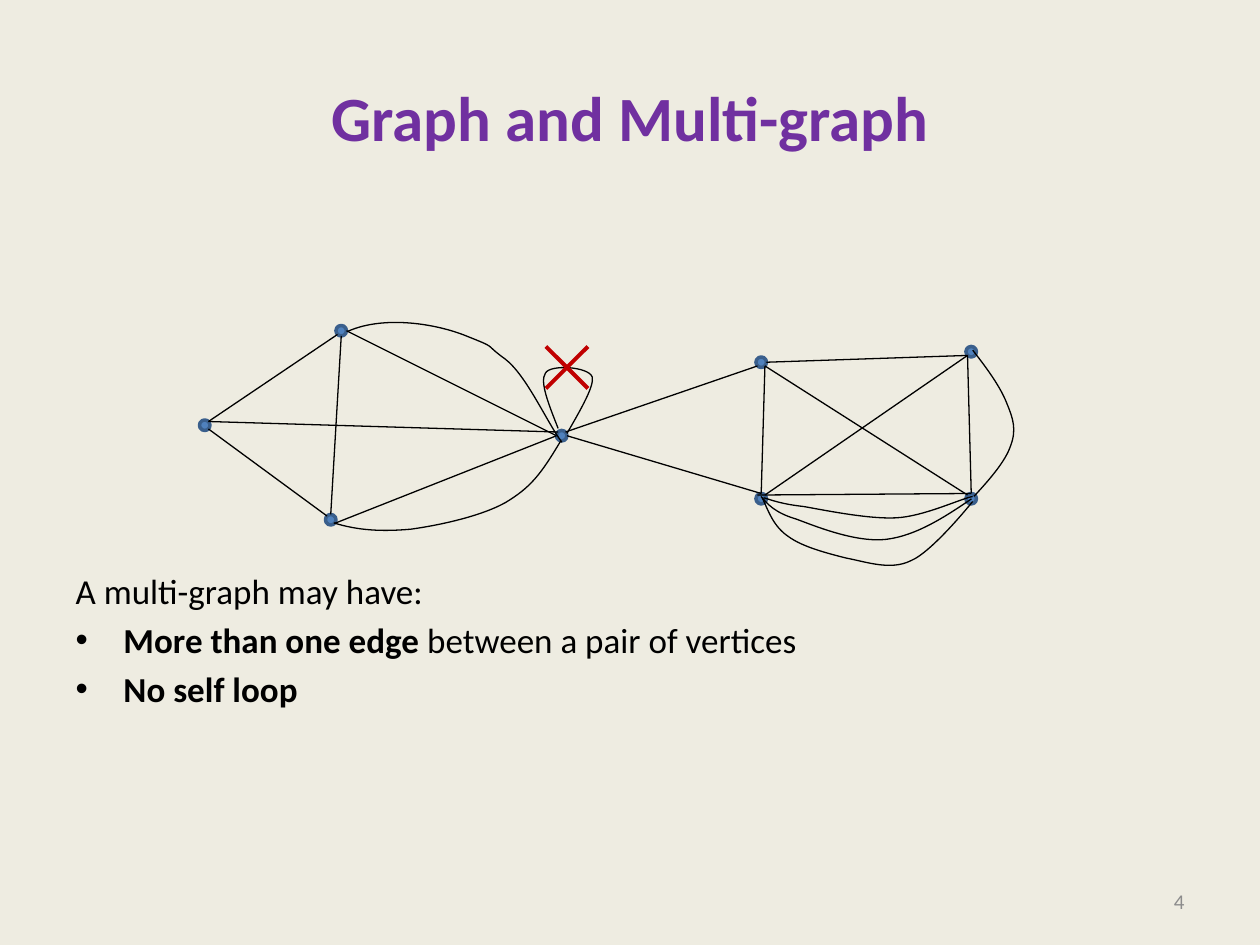
import dataclasses
import math

import lxml.etree
import pptx
import pptx.dml.color
import pptx.enum.shapes
import pptx.enum.text
import pptx.oxml.ns
import pptx.util

qn = pptx.oxml.ns.qn
ALIGN = pptx.enum.text.PP_ALIGN
ANCHOR = pptx.enum.text.MSO_ANCHOR


@dataclasses.dataclass(frozen=True)
class Theme:
    font: str = "Calibri"
    background: str = "EEECE1"
    title: str = "7030A0"
    ink: str = "000000"
    page_number: str = "8C8C8C"
    vertex: str = "4F81BD"
    vertex_rim: str = "3A5F8C"
    cross: str = "C00000"
    title_size: float = 36
    body_size: float = 20
    page_number_size: float = 12
    rim_width: float = 2
    edge_width: float = 0.75
    cross_width: float = 2.25


THEME = Theme()
COLUMNS, ROWS = 120, 90  # twelve cells to the inch

# Each vertex fills the grid cell (column, row).
VERTICES = {
    "west": (19, 40),
    "top": (32, 31),
    "bottom": (31, 49),
    "hub": (53, 41),
    "upper left": (72, 34),
    "lower left": (72, 47),
    "upper right": (92, 33),
    "lower right": (92, 47),
}
BEARINGS = {side: math.radians(45 * turn) for turn, side in
            enumerate(("E", "SE", "S", "SW", "W", "NW", "N", "NE"))}

# Vertex and the side of its rim, at both ends.
STRAIGHT_EDGES = [
    ("west", "NE", "top", "SW"),
    ("west", "SE", "bottom", "NW"),
    ("bottom", "SE", "hub", "W"),
    ("hub", "W", "top", "E"),
    ("top", "S", "bottom", "N"),
    ("west", "NE", "hub", "NW"),
    ("upper left", "E", "upper right", "SW"),
    ("lower left", "NW", "lower right", "N"),
    ("upper left", "SE", "lower left", "N"),
    ("upper right", "SW", "lower right", "N"),
    ("upper left", "SE", "lower right", "NW"),
    ("upper right", "SW", "lower left", "NE"),
    ("upper left", "SW", "hub", "NE"),
    ("lower left", "N", "hub", "E"),
]

# Start point, then two handles and an end point for each Bezier piece, in inches.
BOTTOM_TO_HUB = [(2.65, 4.15), (2.84, 4.21), (3.03, 4.22), (3.26, 4.2),
                 (3.48, 4.17), (3.81, 4.1), (4.01, 3.99),
                 (4.21, 3.87), (4.29, 3.77), (4.45, 3.5)]
HUB_TO_TOP = [(4.46, 3.51), (4.34, 3.35), (4.18, 2.98), (4.01, 2.85),
              (3.83, 2.72), (3.96, 2.77), (3.71, 2.67),
              (3.47, 2.57), (3.05, 2.5), (2.76, 2.63)]
SELF_LOOP = [(4.43, 3.4), (4.36, 3.22), (4.28, 3.03), (4.33, 2.96),
             (4.37, 2.89), (4.67, 2.91), (4.7, 2.99),
             (4.72, 3.06), (4.61, 3.25), (4.5, 3.44)]
SHALLOW_PARALLEL = [(6.06, 3.95), (6.13, 3.97), (6.2, 4), (6.38, 4.02),
                    (6.55, 4.05), (6.89, 4.12), (7.11, 4.11),
                    (7.33, 4.1), (7.62, 3.96), (7.72, 3.94)]
MIDDLE_PARALLEL = [(6.04, 3.94), (6.09, 4), (6.15, 4.07), (6.32, 4.12),
                   (6.48, 4.18), (6.8, 4.31), (7.04, 4.28),
                   (7.27, 4.25), (7.49, 4.11), (7.71, 3.96)]
DEEP_PARALLEL = [(6.05, 3.95), (6.1, 4.06), (6.14, 4.18), (6.26, 4.26),
                 (6.37, 4.34), (6.56, 4.39), (6.72, 4.43),
                 (6.88, 4.46), (7.07, 4.53), (7.23, 4.45),
                 (7.4, 4.38), (7.72, 3.98), (7.72, 3.98)]
RIGHT_PARALLEL = [(7.72, 2.78), (7.83, 2.92), (7.94, 3.07), (7.99, 3.2),
                  (8.04, 3.32), (8.07, 3.41), (8.02, 3.54),
                  (7.98, 3.66), (7.86, 3.8), (7.73, 3.94)]
CURVED_EDGES = [BOTTOM_TO_HUB, HUB_TO_TOP, SELF_LOOP, SHALLOW_PARALLEL,
                MIDDLE_PARALLEL, DEEP_PARALLEL, RIGHT_PARALLEL]


def cells(*counts):
    return [pptx.util.Inches(count / 12) for count in counts]


def rgb(color):
    return pptx.dml.color.RGBColor.from_string(color)


def place(shape, *area):
    shape.left, shape.top, shape.width, shape.height = cells(*area)


def style_line(shape, color, width):
    shape.line.color.rgb = rgb(color)
    shape.line.width = pptx.util.Pt(width)


def style_run(run, size, color, bold=False):
    run.font.name = THEME.font
    run.font.size = pptx.util.Pt(size)
    run.font.color.rgb = rgb(color)
    run.font.bold = bold


def add_title(slide, text):
    title = slide.shapes.title
    place(title, 6, 3.6, 108, 15)
    title.text_frame.text = text
    title.text_frame.vertical_anchor = ANCHOR.MIDDLE
    heading = title.text_frame.paragraphs[0]
    heading.alignment = ALIGN.CENTER
    style_run(heading.runs[0], THEME.title_size, THEME.title, bold=True)


def set_bullet(paragraph, bulleted):
    indent = pptx.util.Inches(0.38) if bulleted else 0
    properties = paragraph._p.get_or_add_pPr()
    properties.set("marL", str(indent))
    properties.set("indent", str(-indent))
    if bulleted:
        lxml.etree.SubElement(properties, qn("a:buChar")).set("char", "•")
    else:
        lxml.etree.SubElement(properties, qn("a:buNone"))


def add_list(slide, intro, items):
    """Each item is a bold phrase and the plain words after it."""
    body = slide.placeholders[1]
    place(body, 6, 53.64, 108, 26.76)
    frame = body.text_frame
    frame.text = intro
    set_bullet(frame.paragraphs[0], False)
    frame.paragraphs[0].space_before = pptx.util.Pt(0)
    style_run(frame.paragraphs[0].runs[0], THEME.body_size, THEME.ink)
    for phrase, rest in items:
        item = frame.add_paragraph()
        set_bullet(item, True)
        for words, bold in ((phrase, True), (rest, False)):
            if words:
                run = item.add_run()
                run.text = words
                style_run(run, THEME.body_size, THEME.ink, bold)


def add_page_number(slide, number):
    frame = slide.shapes.add_textbox(*cells(86, 83.4, 28, 4.8)).text_frame
    frame.word_wrap = True
    frame.vertical_anchor = ANCHOR.MIDDLE
    frame.text = number
    frame.paragraphs[0].alignment = ALIGN.RIGHT
    style_run(frame.paragraphs[0].runs[0], THEME.page_number_size, THEME.page_number)


def add_vertex(slide, column, row):
    oval = pptx.enum.shapes.MSO_SHAPE.OVAL
    vertex = slide.shapes.add_shape(oval, *cells(column, row, 1, 1))
    vertex.shadow.inherit = False
    vertex.fill.solid()
    vertex.fill.fore_color.rgb = rgb(THEME.vertex)
    style_line(vertex, THEME.vertex_rim, THEME.rim_width)


def rim_point(vertex, side):
    column, row = VERTICES[vertex]
    bearing = BEARINGS[side]
    return column + 0.5 + math.cos(bearing) / 2, row + 0.5 + math.sin(bearing) / 2


def add_line(slide, start, end, color, width):
    straight = pptx.enum.shapes.MSO_CONNECTOR.STRAIGHT
    line = slide.shapes.add_connector(straight, *cells(*start, *end))
    style_line(line, color, width)
    lxml.etree.SubElement(line._element.spPr, qn("a:effectLst"))


def add_curve(slide, points):
    """Draw Bezier pieces: every three points after the first make one piece."""
    start, *others = [(pptx.util.Inches(x), pptx.util.Inches(y)) for x, y in points]
    builder = slide.shapes.build_freeform(*start)
    builder.add_line_segments(others, close=False)
    curve = builder.convert_to_shape()
    outline = next(curve._element.iter(qn("a:path")))
    segments = outline.findall(qn("a:lnTo"))
    for first in range(0, len(segments), 3):
        piece = lxml.etree.SubElement(outline, qn("a:cubicBezTo"))
        for segment in segments[first:first + 3]:
            piece.append(segment[0])
            outline.remove(segment)
    curve.shadow.inherit = False
    curve.fill.background()
    style_line(curve, THEME.ink, THEME.edge_width)


def add_cross(slide, left, top, size):
    right, bottom = left + size, top + size
    for start, end in (((left, top), (right, bottom)), ((left, bottom), (right, top))):
        add_line(slide, start, end, THEME.cross, THEME.cross_width)


def main():
    deck = pptx.Presentation()
    deck.slide_width, deck.slide_height = cells(COLUMNS, ROWS)
    slide = deck.slides.add_slide(deck.slide_layouts[1])
    slide.background.fill.solid()
    slide.background.fill.fore_color.rgb = rgb(THEME.background)
    add_title(slide, "Graph and Multi-graph")
    add_list(slide, "A multi-graph may have:", [
        ("More than one edge ", "between a pair of vertices"), ("No self loop", "")])
    add_page_number(slide, "4")
    for column, row in VERTICES.values():
        add_vertex(slide, column, row)
    for tail, tail_side, head, head_side in STRAIGHT_EDGES:
        add_line(slide, rim_point(tail, tail_side), rim_point(head, head_side),
                 THEME.ink, THEME.edge_width)
    for points in CURVED_EDGES:
        add_curve(slide, points)
    add_cross(slide, 52, 33, 4)
    deck.save("out.pptx")


if __name__ == "__main__":
    main()
